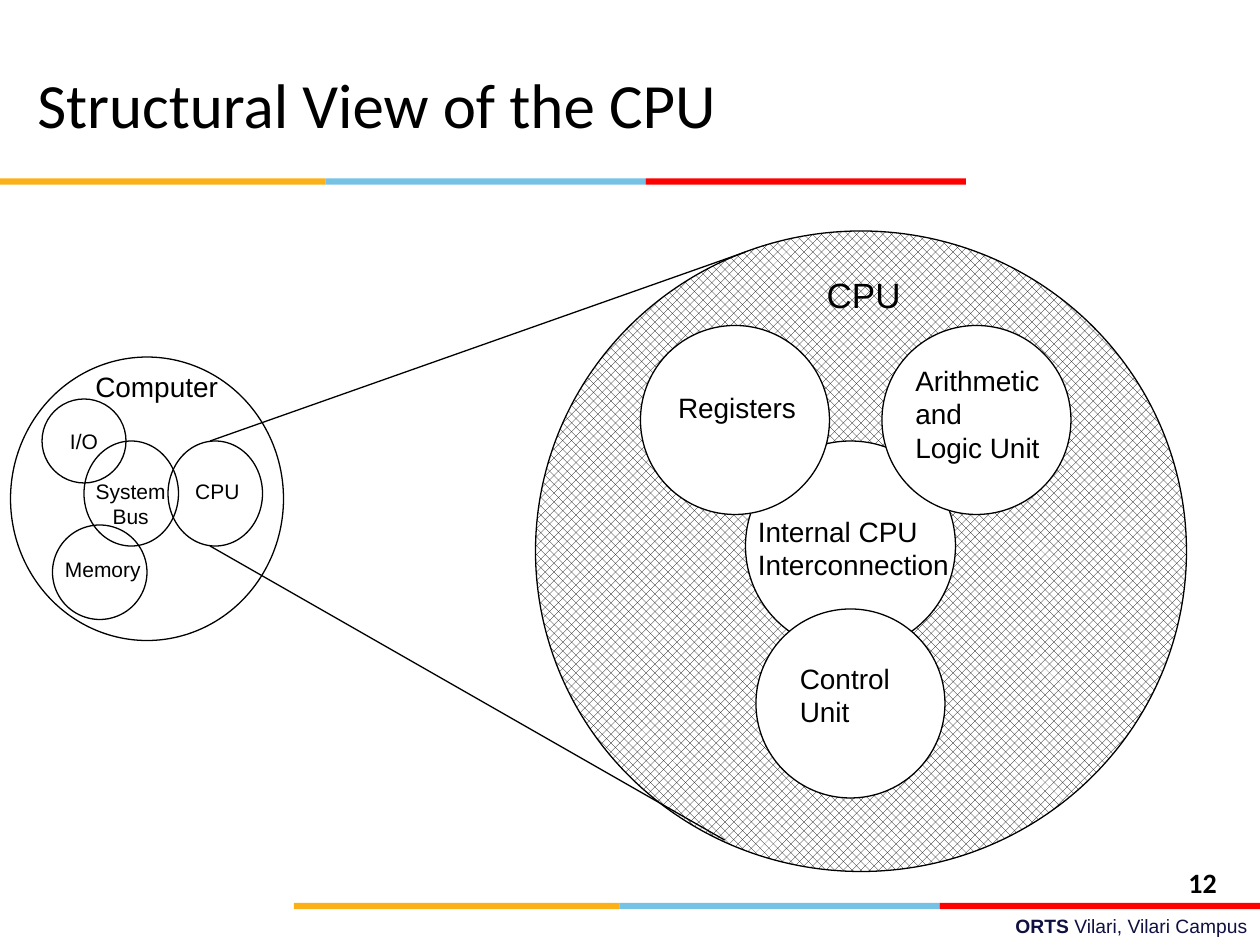
import pptx
import pptx.util
import pptx.dml.color
import pptx.enum.dml
import pptx.enum.shapes
import pptx.enum.text
import pptx.oxml.ns
import lxml.etree

COLS, ROWS = 120, 90
WIDTH, HEIGHT = pptx.util.Inches(10), pptx.util.Inches(7.5)
COLORS = {
    "ink": "000000",
    "paper": "FFFFFF",
    "gold": "FCB017",
    "sky": "76C2E5",
    "red": "FF0000",
    "navy": "101141",
}
ALIGN = pptx.enum.text.PP_ALIGN
ANCHOR = pptx.enum.text.MSO_ANCHOR
FIT = pptx.enum.text.MSO_AUTO_SIZE
SHAPE = pptx.enum.shapes.MSO_SHAPE


def rgb(name):
    return pptx.dml.color.RGBColor.from_string(COLORS[name])


def x(cols):
    return round(WIDTH * cols / COLS)


def y(rows):
    return round(HEIGHT * rows / ROWS)


def box(left, top, width, height):
    return x(left), y(top), x(width), y(height)


def set_line(line, color="ink"):
    line.color.rgb = rgb(color)
    line.width = pptx.util.Pt(0.75)


def write(tf, lines, size, align=ALIGN.LEFT, anchor=ANCHOR.TOP, wrap=False,
          font="Arial", color="ink", bold=False):
    for name, value in {"word_wrap": wrap, "vertical_anchor": anchor}.items():
        setattr(tf, name, value)
    for i, line in enumerate(lines):
        p = tf.paragraphs[0] if i == 0 else tf.add_paragraph()
        p.alignment = align
        r = p.add_run()
        r.text = line
        style(r, size, font, color, bold)


def style(r, size, font, color, bold):
    formats = {"size": pptx.util.Pt(size), "name": font, "bold": bold}
    for name, value in formats.items():
        setattr(r.font, name, value)
    r.font.color.rgb = rgb(color)


def add_title(s, text):
    sp = s.shapes.title
    places = zip(("left", "top", "width", "height"), box(2.35, 4.3, 82.2, 11))
    for name, value in places:
        setattr(sp, name, value)
    set_line(sp.line, "paper")
    write(sp.text_frame, [text], 36, anchor=ANCHOR.MIDDLE, wrap=True,
          font="Calibri")


def add_stripe(s, left, top):
    for color, width in (("gold", 31), ("sky", 30.5), ("red", 30.5)):
        sp = s.shapes.add_shape(SHAPE.RECTANGLE, *box(left, top, width, 0.6))
        sp.shadow.inherit = False
        sp.fill.solid()
        sp.fill.fore_color.rgb = rgb(color)
        sp.line.fill.background()
        left += width


def add_circle(s, left, top, width, height, fill=None):
    sp = s.shapes.add_shape(SHAPE.OVAL, *box(left, top, width, height))
    sp.shadow.inherit = False
    set_line(sp.line)
    if fill == "pattern":
        sp.fill.patterned()
        sp.fill.pattern = pptx.enum.dml.MSO_PATTERN.PERCENT_50
        sp.fill.fore_color.rgb = rgb("ink")
        sp.fill.back_color.rgb = rgb("paper")
    elif fill:
        sp.fill.solid()
        sp.fill.fore_color.rgb = rgb(fill)
    else:
        sp.fill.background()
    return sp


def add_label(s, place, lines, size, **formats):
    sp = s.shapes.add_textbox(*box(*place))
    write(sp.text_frame, lines, size, **formats)
    if not sp.text_frame.word_wrap:
        sp.text_frame.auto_size = FIT.SHAPE_TO_FIT_TEXT
    return sp


def add_zoom_line(s, start, end):
    (x1, y1), (x2, y2) = start, end
    kind = pptx.enum.shapes.MSO_CONNECTOR.STRAIGHT
    c = s.shapes.add_connector(kind, x(x1), y(y1), x(x2), y(y2))
    set_line(c.line)
    lxml.etree.SubElement(c._element.spPr, pptx.oxml.ns.qn("a:effectLst"))


def add_footer(s):
    sp = add_label(s, (43, 86.5, 77, 3.5), ["ORTS "], 11, align=ALIGN.RIGHT,
                   wrap=True, color="navy", bold=True)
    r = sp.text_frame.paragraphs[0].add_run()
    r.text = "Vilari, Vilari Campus"
    style(r, 11, "Arial", "navy", False)
    add_label(s, (112, 81.8, 8, 3.8), ["12"], 16, wrap=True, font="Calibri",
              bold=True)


def add_cpu(s):
    add_circle(s, 51, 22, 62, 61, "pattern")
    add_circle(s, 71, 42, 20, 20, "paper")
    for left, top in ((61, 31), (84, 31), (72, 58)):
        add_circle(s, left, top, 18, 18, "paper")
    for place, lines in (
        ((86, 34, 14.4, 10.8), ["Arithmetic", "and", "Logic Unit"]),
        ((75, 62.4, 11, 7.7), ["Control", "Unit"]),
        ((71, 48.4, 20.6, 7.7), ["Internal CPU", "Interconnection"]),
        ((63.4, 36.6, 13.7, 4.4), ["Registers"]),
    ):
        add_label(s, place, lines, 16)
    add_label(s, (77.5, 25.4, 9.5, 5.2), ["CPU"], 20, align=ALIGN.CENTER,
              anchor=ANCHOR.MIDDLE)


def add_computer(s):
    centered = {"align": ALIGN.CENTER, "anchor": ANCHOR.MIDDLE}
    add_circle(s, 1, 34, 26, 27)
    add_label(s, (7.9, 34.6, 14.1, 4.4), ["Computer"], 16)
    for place in ((16, 42, 9, 10), (8, 42, 9, 10), (5, 50, 9, 9)):
        add_circle(s, *place)
    sp = add_circle(s, 4, 38, 8, 8)
    write(sp.text_frame, ["I/O"], 12, **centered)
    for place, lines in (
        ((17.4, 45, 6.6, 3.6), ["CPU"]),
        ((5, 52.4, 9.6, 3.6), ["Memory"]),
        ((7.9, 45, 9.1, 6), ["System", "Bus"]),
    ):
        add_label(s, place, lines, 12, **centered)


def main():
    prs = pptx.Presentation()
    prs.slide_width, prs.slide_height = WIDTH, HEIGHT
    s = prs.slides.add_slide(prs.slide_layouts[5])
    add_title(s, "Structural View of the CPU")
    add_stripe(s, 0, 17)
    add_stripe(s, 28, 86)
    add_cpu(s)
    add_computer(s)
    add_zoom_line(s, (20, 42), (71, 24))
    add_zoom_line(s, (20, 52), (69, 80))
    add_footer(s)
    prs.save("out.pptx")


if __name__ == "__main__":
    main()
